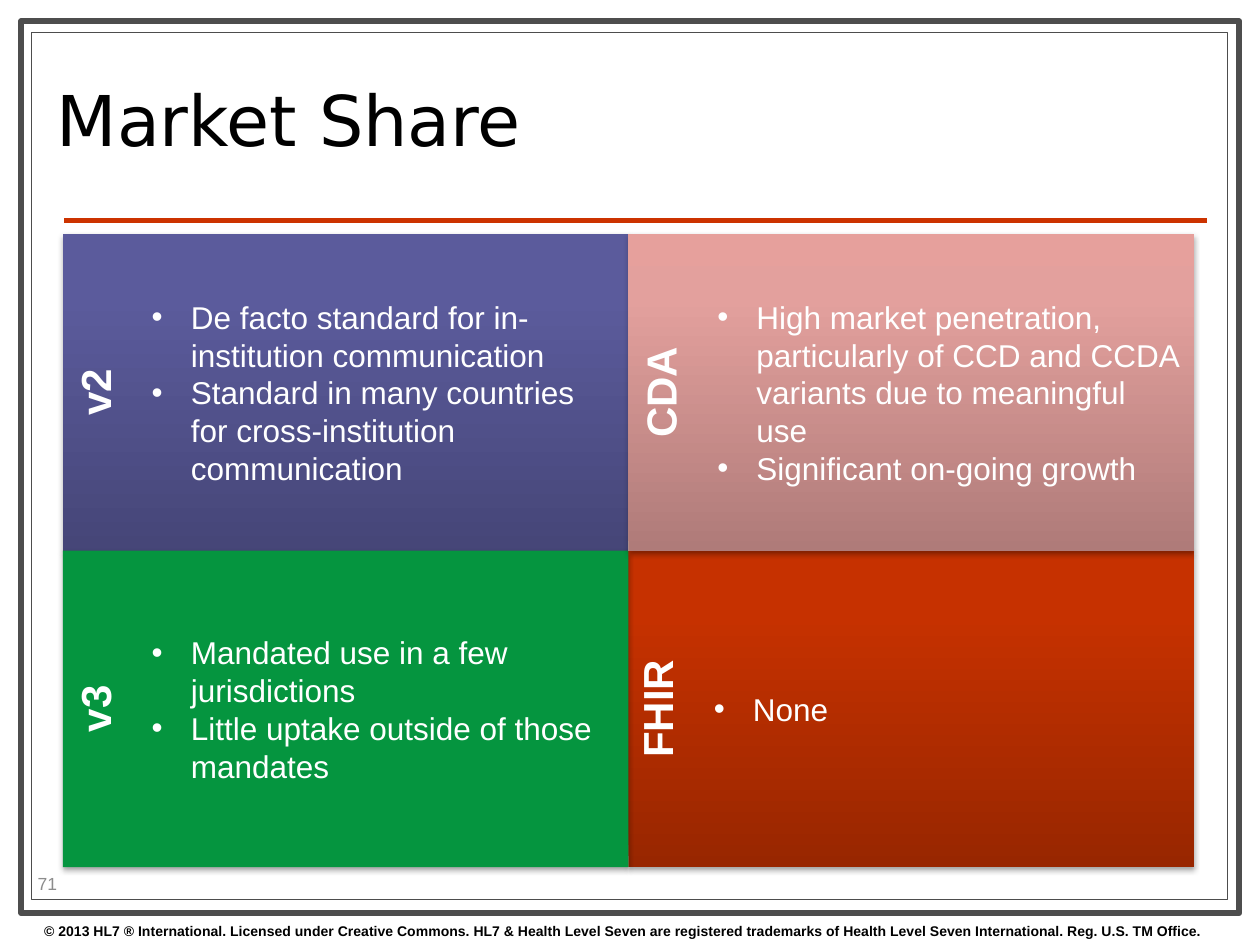
from copy import deepcopy

from lxml import etree
from pptx import Presentation
from pptx.dml.color import RGBColor
from pptx.enum.shapes import MSO_CONNECTOR, MSO_SHAPE
from pptx.enum.text import MSO_ANCHOR, MSO_AUTO_SIZE, PP_ALIGN
from pptx.oxml import parse_xml
from pptx.oxml.ns import nsdecls, qn
from pptx.util import Cm, Pt

RECTANGLE = MSO_SHAPE.RECTANGLE
STRAIGHT = MSO_CONNECTOR.STRAIGHT
MIDDLE = MSO_ANCHOR.MIDDLE
LEFT, CENTER = PP_ALIGN.LEFT, PP_ALIGN.CENTER
NO_AUTOFIT = MSO_AUTO_SIZE.NONE

BLACK = RGBColor(0x00, 0x00, 0x00)
WHITE = RGBColor(0xFF, 0xFF, 0xFF)
FRAME_GREY = RGBColor(0x4D, 0x4D, 0x4D)
NUMBER_GREY = RGBColor(0x8C, 0x8C, 0x8C)
RULE_RED = RGBColor(0xCC, 0x33, 0x00)
# Tile colours, from the bottom edge to the top
VIOLET = [RGBColor(0x46, 0x46, 0x78), RGBColor(0x5B, 0x5B, 0x9C), RGBColor(0x5B, 0x5B, 0x9E)]
RED = [RGBColor(0x98, 0x26, 0x00), RGBColor(0xC6, 0x31, 0x00), RGBColor(0xC7, 0x32, 0x00)]
GREEN = [RGBColor(0x05, 0x95, 0x3F)]
PINK = [RGBColor(0xAF, 0x7B, 0x79), RGBColor(0xE3, 0xA0, 0x9D), RGBColor(0xE6, 0xA0, 0x9C)]

TILE_SHADOW = (
    f'<a:effectLst {nsdecls("a")}><a:outerShdw blurRad="39370" dist="22860" dir="5400000" '
    'rotWithShape="0"><a:srgbClr val="000000"><a:alpha val="35000"/></a:srgbClr>'
    '</a:outerShdw></a:effectLst>'
)


def format_runs(paragraph, size, color, font="Arial", bold=False):
    for run in paragraph.runs:
        run.font.name = font
        run.font.size = Pt(size)
        run.font.bold = bold
        run.font.color.rgb = color


def add_text(left, top, width, height, lines, size, color, bold=False):
    frame = slide.shapes.add_textbox(Cm(left), Cm(top), Cm(width), Cm(height)).text_frame
    frame.word_wrap = True
    frame.text = "\n".join(lines)
    for paragraph in frame.paragraphs:
        format_runs(paragraph, size, color, bold=bold)
    return frame


prs = Presentation()
prs.slide_width, prs.slide_height = Cm(25.4), Cm(19.05)
slide = prs.slides.add_slide(prs.slide_layouts[5])

# Double frame
for left, top, width, height, weight in [
    (0.43, 0.43, 24.98 - 0.43, 17.98, 3.5),
    (0.64, 0.66, 24.1, 17.48, 0.75),
]:
    border = slide.shapes.add_shape(RECTANGLE, Cm(left), Cm(top), Cm(width), Cm(height))
    border.shadow.inherit = False
    border.fill.background()
    border.line.color.rgb = FRAME_GREY
    border.line.width = Pt(weight)

# Title and the rule below it
title = slide.shapes.title
title.left, title.top, title.width, title.height = Cm(0.89), Cm(0.91), Cm(18.21), Cm(3.28)
title.text_frame.text = "Market Share"
title.text_frame.auto_size = NO_AUTOFIT
title.text_frame.vertical_anchor = MIDDLE
heading = title.text_frame.paragraphs[0]
heading.alignment = LEFT
heading.line_spacing = 0.8
format_runs(heading, 40, BLACK, font="DejaVu Sans")

rule = slide.shapes.add_connector(STRAIGHT, Cm(1.3), Cm(4.45), Cm(24.33), Cm(4.45))
rule.line.color.rgb = RULE_RED
rule.line.width = Pt(3)
etree.SubElement(rule._element.spPr, qn("a:effectLst"))

# Copyright line and slide number
add_text(0.64, 18.47, 25.4, 0.58, [
    "© 2013 HL7 ® International. Licensed under Creative Commons. HL7 & Health Level Seven "
    "are registered trademarks of Health Level Seven International. Reg. U.S. TM Office."
], 8, BLACK, bold=True)
number = add_text(0.51, 17.5, 2.01, 0.61, ["71"], 10, NUMBER_GREY)
number.vertical_anchor = MIDDLE

# Standards: column, row, tile colours, label, text shift, text lines, points
GRID_LEFT, GRID_TOP = 1.27, 4.72
TILE_WIDTH, TILE_HEIGHT = 11.4, 6.38
LABEL_WIDTH, LIST_WIDTH = 1.54, 9.86
LINE_HEIGHT = 0.77
standards = [
    (0, 0, VIOLET, "v2", 0, 5, [
        "De facto standard for in-institution communication",
        "Standard in many countries for cross-institution communication",
    ]),
    (1, 1, RED, "FHIR", -0.07, 1, ["None"]),
    (0, 1, GREEN, "v3", 0, 4, [
        "Mandated use in a few jurisdictions",
        "Little uptake outside of those mandates",
    ]),
    (1, 0, PINK, "CDA", 0, 5, [
        "High market penetration, particularly of CCD and CCDA variants due to meaningful use",
        "Significant on-going growth",
    ]),
]

# Tiles
for column, row, colors, *_ in standards:
    tile = slide.shapes.add_shape(
        RECTANGLE,
        Cm(GRID_LEFT + column * TILE_WIDTH), Cm(GRID_TOP + row * TILE_HEIGHT),
        Cm(TILE_WIDTH), Cm(TILE_HEIGHT),
    )
    tile.line.fill.background()
    if len(colors) == 1:
        tile.fill.solid()
        tile.fill.fore_color.rgb = colors[0]
    else:
        tile.fill.gradient()
        tile.fill.gradient_angle = 90
        stop_list = tile._element.spPr.find(".//" + qn("a:gsLst"))
        stop_list.append(deepcopy(stop_list[-1]))
        for stop, color, position in zip(tile.fill.gradient_stops, colors, (0, 0.8, 1)):
            stop.color.rgb = color
            stop.position = position
    tile._element.spPr.append(parse_xml(TILE_SHADOW))

# Upright labels and bullet lists
for column, row, _, name, shift, line_count, points in standards:
    left = GRID_LEFT + column * TILE_WIDTH + shift
    top = GRID_TOP + row * TILE_HEIGHT
    label = add_text(left, top, LABEL_WIDTH, TILE_HEIGHT, [name], 24, WHITE, bold=True)
    label._txBody.bodyPr.set("vert", "vert270")
    label.paragraphs[0].alignment = CENTER

    list_height = 1.02 + LINE_HEIGHT * (line_count - 1)
    bullets = add_text(left + LABEL_WIDTH, top + (TILE_HEIGHT - list_height) / 2,
                       LIST_WIDTH, list_height, points, 18, WHITE)
    bullets.vertical_anchor = MIDDLE
    for paragraph in bullets.paragraphs:
        properties = paragraph._p.get_or_add_pPr()
        properties.set("marL", str(Cm(0.79)))
        properties.set("indent", str(-Cm(0.79)))
        etree.SubElement(properties, qn("a:buFont"), typeface="Arial")
        etree.SubElement(properties, qn("a:buChar"), char="•")

prs.save("out.pptx")
